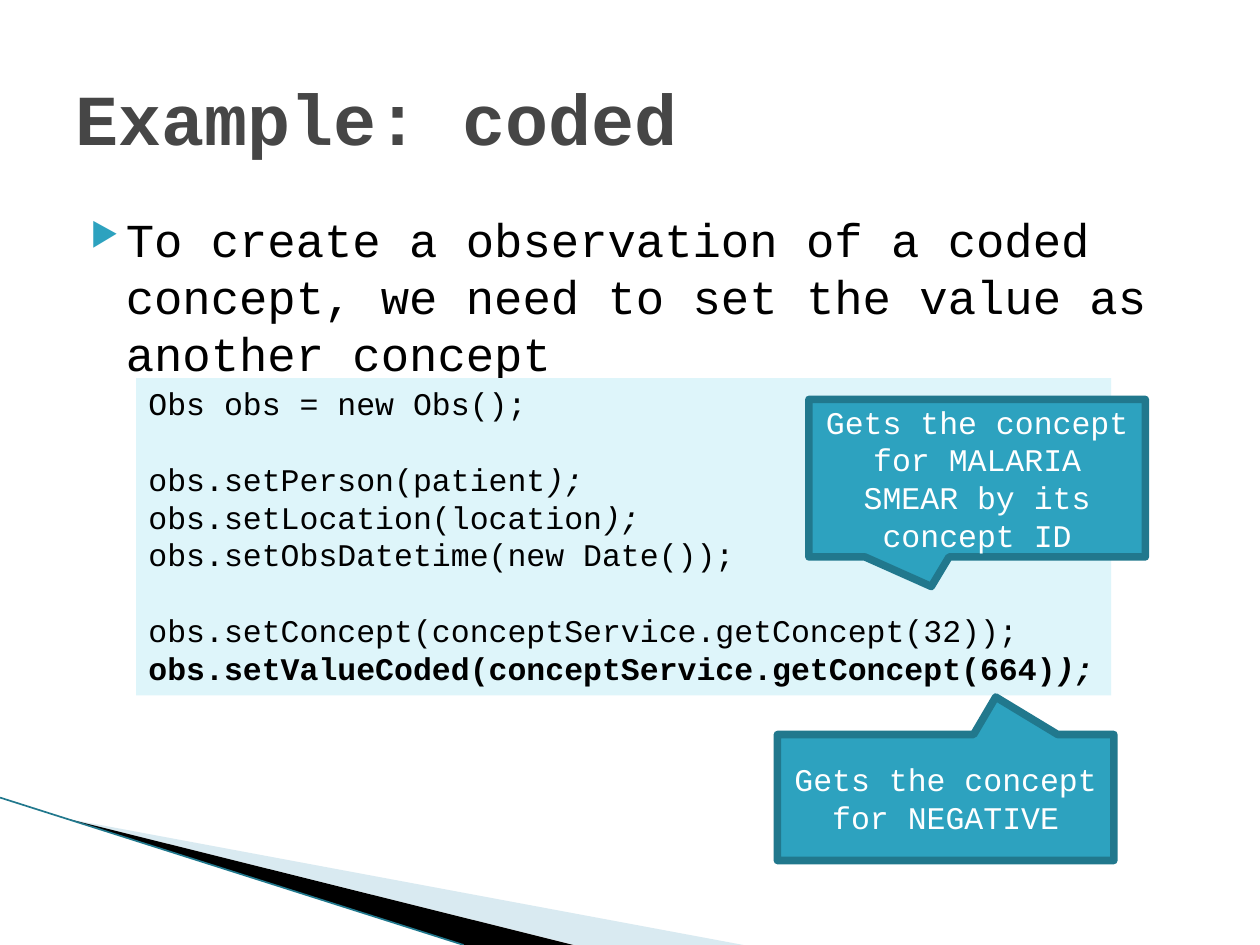
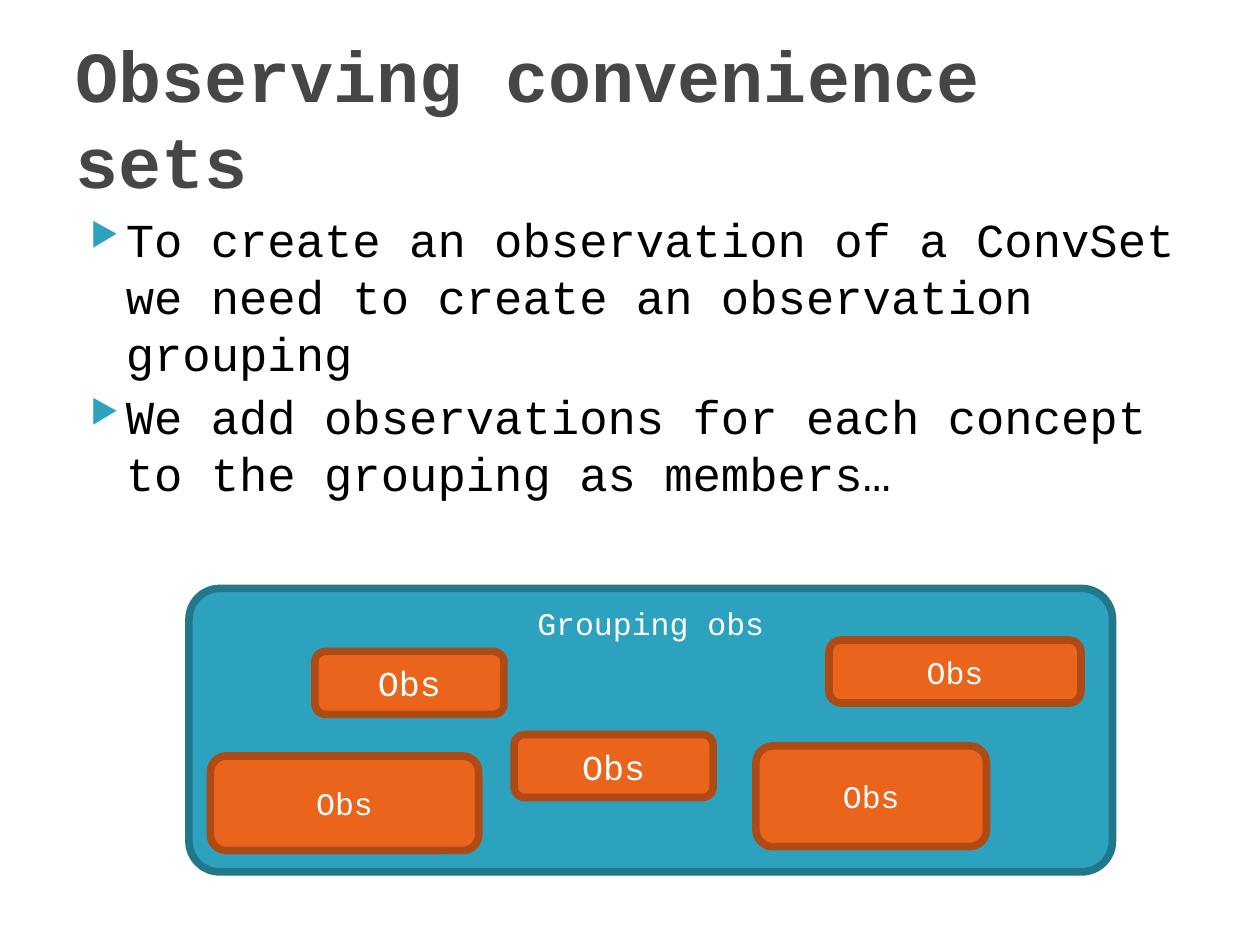
from lxml import etree
from pptx import Presentation
from pptx.dml.color import RGBColor
from pptx.enum.shapes import MSO_CONNECTOR, MSO_SHAPE
from pptx.enum.text import MSO_ANCHOR, PP_ALIGN
from pptx.oxml.ns import qn
from pptx.util import Inches, Pt

RECT = MSO_SHAPE.RECTANGLE
CALLOUT = MSO_SHAPE.RECTANGULAR_CALLOUT
ROUNDED = MSO_SHAPE.ROUNDED_RECTANGLE
STRAIGHT = MSO_CONNECTOR.STRAIGHT
TOP, MIDDLE = MSO_ANCHOR.TOP, MSO_ANCHOR.MIDDLE
LEFT, CENTER = PP_ALIGN.LEFT, PP_ALIGN.CENTER

FONT = "Courier New"
BLACK, WHITE, TITLE_GREY = "000000", "FFFFFF", "464646"
TEAL, TEAL_EDGE = "2DA2BF", "21788D"
ORANGE, ORANGE_EDGE = "EB641B", "AE4A14"
CODE_FILL, BAND_BLUE = "DEF5FA", "A0CBDC"
TITLE_BOX = (0.5, 0.3, 9, 1.25)
EDGE_WIDTH = 4.33
CODE_SIZE = 18
CODE_GAP = CODE_SIZE * 1.2

# Each line: blank line above it, bold, upright part, italic ending
CODE_LINES = [
    (False, False, "Obs obs = new Obs();", ""),
    (True, False, "obs.setPerson(patient", ");"),
    (False, False, "obs.setLocation(location", ");"),
    (False, False, "obs.setObsDatetime(new Date());", ""),
    (True, False, "obs.setConcept(conceptService.getConcept(32));", ""),
    (False, True, "obs.setValueCoded(conceptService.getConcept(664)", ");"),
]
# Each member: box, text size, corner rounding
MEMBERS = [
    ((2.5, 5.17, 1.5, 0.5), 20, 0.167),
    ((4.08, 5.83, 1.58, 0.5), 20, 0.167),
    ((6.58, 5.08, 2, 0.5), 18, 0.192),
    ((1.67, 6, 2.13, 0.75), 18, 0.167),
    ((6, 5.92, 1.83, 0.8), 18, 0.167),
]


def colour(hex_code):
    """Turn a hex string into a colour."""
    return RGBColor.from_string(hex_code)


def inches(box):
    """Turn a tuple of numbers into lengths."""
    return [Inches(value) for value in box]


def apply(target, formats):
    """Set the attributes of target from a dict."""
    for name, value in formats.items():
        setattr(target, name, value)


def add_run(paragraph, text, size, hex_code, **formats):
    """Add one run of text in the deck's font."""
    run = paragraph.add_run()
    run.text = text
    apply(run.font, {"name": FONT, "size": Pt(size), **formats})
    run.font.color.rgb = colour(hex_code)


def paint(shape, fill, edge=None):
    """Give a shape a plain fill and an optional heavy edge."""
    shape.shadow.inherit = False
    shape.fill.solid()
    shape.fill.fore_color.rgb = colour(fill)
    if edge:
        shape.line.color.rgb = colour(edge)
        shape.line.width = Pt(EDGE_WIDTH)
    else:
        shape.line.fill.background()


def add_panel(slide, kind, box, fill, edge=None, adjustments=()):
    """Add a painted preset shape."""
    panel = slide.shapes.add_shape(kind, *inches(box))
    for index, value in enumerate(adjustments):
        panel.adjustments[index] = value
    paint(panel, fill, edge)
    return panel


def add_label(panel, text, size=18, anchor=MIDDLE):
    """Write centred white text in a panel."""
    apply(panel.text_frame, {"word_wrap": True, "vertical_anchor": anchor})
    paragraph = panel.text_frame.paragraphs[0]
    paragraph.alignment = CENTER
    add_run(paragraph, text, size, WHITE)


def add_text_frame(slide, box, anchor):
    """Add a wrapping text box and return its frame."""
    frame = slide.shapes.add_textbox(*inches(box)).text_frame
    apply(frame, {"word_wrap": True, "vertical_anchor": anchor})
    return frame


def paragraphs_for(frame, items):
    """Pair each item with a paragraph of the frame."""
    for index, item in enumerate(items):
        yield (frame.add_paragraph() if index else frame.paragraphs[0]), item


def add_title(slide, text, box=TITLE_BOX):
    """Write the slide title."""
    frame = add_text_frame(slide, box, MIDDLE)
    add_run(frame.paragraphs[0], text, 41, TITLE_GREY, bold=True)


def add_bullet(paragraph):
    """Give a paragraph the teal arrow bullet and hanging indent."""
    properties = paragraph._p.get_or_add_pPr()
    properties.set("marL", str(Inches(0.4)))
    properties.set("indent", str(Inches(-0.28)))
    bullet_colour = etree.SubElement(properties, qn("a:buClr"))
    etree.SubElement(bullet_colour, qn("a:srgbClr"), val=TEAL)
    etree.SubElement(properties, qn("a:buSzPct"), val="68000")
    etree.SubElement(properties, qn("a:buChar"), char="\u25b6")


def add_body(slide, box, points):
    """Write the bulleted points."""
    frame = add_text_frame(slide, box, TOP)
    for paragraph, point in paragraphs_for(frame, points):
        paragraph.space_before = Pt(4)
        add_bullet(paragraph)
        add_run(paragraph, point, 27, BLACK)


def add_band(slide, points, fill, opacity=100):
    """Draw one wedge of the corner decoration."""
    corners = [inches(point) for point in points]
    builder = slide.shapes.build_freeform(*corners[0], scale=1.0)
    builder.add_line_segments(corners[1:], close=True)
    band = builder.convert_to_shape()
    paint(band, fill)
    if opacity < 100:
        tint = band.fill._xPr.find(".//" + qn("a:srgbClr"))
        etree.SubElement(tint, qn("a:alpha"), val=str(opacity * 1000))


def add_corner(slide, box):
    """Draw the sweeping bands in the lower left corner."""
    left, top, width, height = box
    right, bottom = left + width, top + height
    start = (left + 0.54, top + 0.17)
    add_band(slide, [start, (right, bottom), (left + 4.56, bottom)],
             BAND_BLUE, 40)
    add_band(slide, [start, (left + 4.55, bottom), (left + 3.68, bottom)],
             BLACK)
    edge = slide.shapes.add_connector(
        STRAIGHT, *inches((left, top, left + 3.68, bottom)))
    edge.line.color.rgb = colour(TEAL_EDGE)
    edge.line.width = Pt(0.95)
    etree.SubElement(edge._element.spPr, qn("a:effectLst"))


def add_code(slide, box):
    """Write the code listing on its pale panel."""
    frame = add_panel(slide, RECT, box, CODE_FILL).text_frame
    apply(frame, {"word_wrap": False, "vertical_anchor": TOP})
    for paragraph, line in paragraphs_for(frame, CODE_LINES):
        gap_above, bold, upright, ending = line
        paragraph.alignment = LEFT
        paragraph.space_before = Pt(CODE_GAP if gap_above else 0)
        add_run(paragraph, upright, CODE_SIZE, BLACK, bold=bold)
        if ending:
            add_run(paragraph, ending, CODE_SIZE, BLACK, bold=bold,
                    italic=True)


def add_callout(slide, box, text, tip):
    """Add a callout whose tip is given relative to its centre."""
    add_label(add_panel(slide, CALLOUT, box, TEAL, TEAL_EDGE, tip), text)


def add_grouping(slide, box):
    """Draw the panel that holds the member observations."""
    group = add_panel(slide, ROUNDED, box, TEAL, TEAL_EDGE, [0.109])
    add_label(group, "Grouping obs", anchor=TOP)


def add_members(slide):
    """Draw the member observations."""
    for box, size, rounding in MEMBERS:
        member = add_panel(slide, ROUNDED, box, ORANGE, ORANGE_EDGE,
                           [rounding])
        add_label(member, "Obs", size)


def build_coded_slide(slide):
    """Build the slide with the coded observation example."""
    add_corner(slide, (0, 6.33, 5.9, 1.17))
    add_body(slide, (0.5, 1.62, 9, 4.95), [
        "To create a observation of a coded concept, we need to set "
        "the value as another concept"])
    add_title(slide, "Example: coded")
    add_code(slide, (1.08, 3, 7.74, 2.52))
    add_callout(slide, (6.17, 5.83, 2.67, 1),
                "Gets the concept for NEGATIVE", (0.149, -0.798))
    add_callout(slide, (6.42, 3.17, 2.67, 1.25),
                "Gets the concept for MALARIA SMEAR by its concept ID",
                (-0.136, 0.688))


def build_sets_slide(slide):
    """Build the slide on observation groupings."""
    add_grouping(slide, (1.5, 4.67, 7.33, 2.25))
    add_body(slide, (0.5, 1.62, 9, 2.55), [
        "To create an observation of a ConvSet we need to create an "
        "observation grouping",
        "We add observations for each concept to the grouping as members…"])
    add_title(slide, "Observing convenience sets")
    add_members(slide)


deck = Presentation()
deck.slide_width, deck.slide_height = inches((10, 7.5))
for build in (build_coded_slide, build_sets_slide):
    build(deck.slides.add_slide(deck.slide_layouts[6]))
deck.save("out.pptx")
